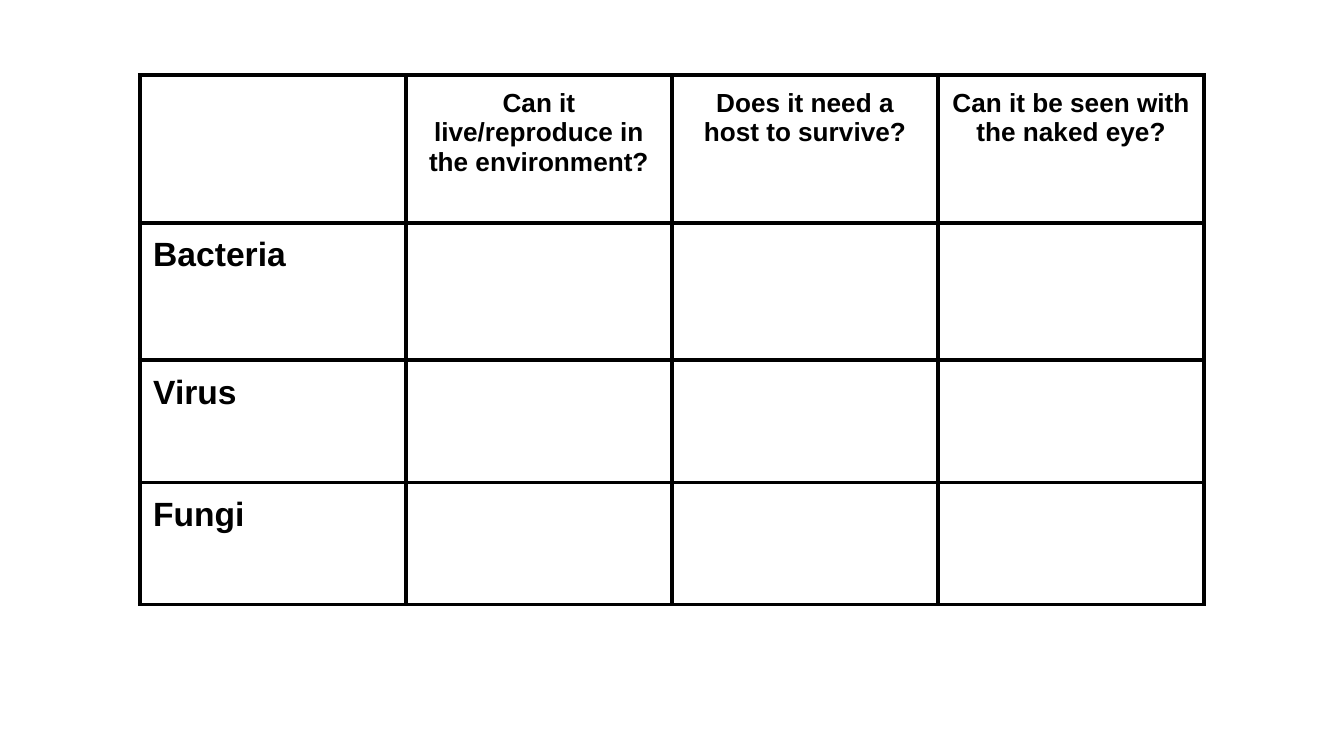
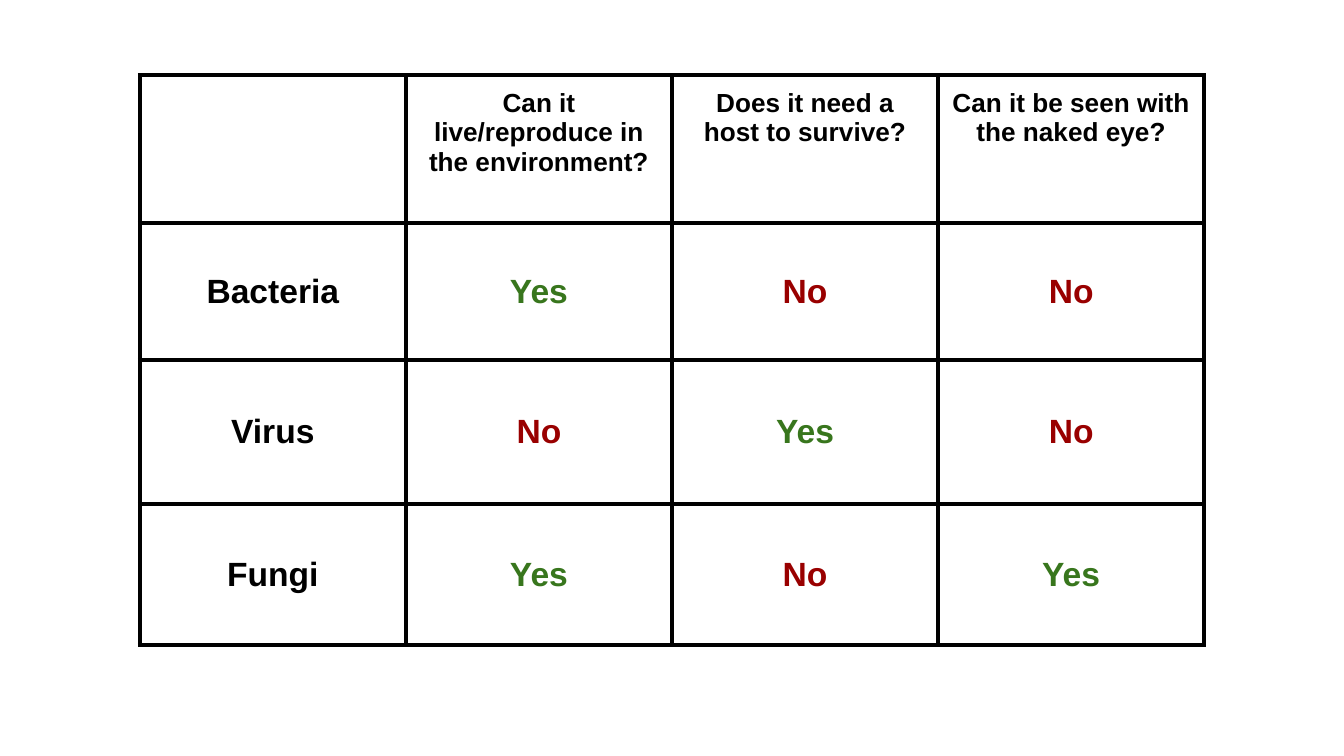
"""Build two slides comparing bacteria, viruses and fungi in a table."""
from lxml import etree
from pptx import Presentation
from pptx.dml.color import RGBColor
from pptx.enum.text import MSO_ANCHOR, PP_ALIGN
from pptx.oxml.ns import qn
from pptx.util import Inches, Pt

LEFT, CENTER = PP_ALIGN.LEFT, PP_ALIGN.CENTER
TOP, MIDDLE = MSO_ANCHOR.TOP, MSO_ANCHOR.MIDDLE

BLACK, GREEN, RED = "000000", "38761D", "990000"
TONES = {"Yes": GREEN, "No": RED}

HEADS = [
    "",
    "Can it live/reproduce in the environment?",
    "Does it need a host to survive?",
    "Can it be seen with the naked eye?",
]
GERMS = {
    "Bacteria": ["Yes", "No", "No"],
    "Virus": ["No", "Yes", "No"],
    "Fungi": ["Yes", "No", "Yes"],
}


def color(code):
    """Turn a hex string into a colour."""
    return RGBColor.from_string(code)


class Deck:
    """Hold the table style and the current slide."""

    font = "Arial"
    left, top, width = 1.04, 0.56, 1.98
    pad, rule = 0.1, 2.25

    def __init__(self):
        """Start an empty 16:9 deck."""
        self.show = Presentation()
        self.show.slide_width = Inches(10)
        self.show.slide_height = Inches(10 * 9 / 16)
        self.slide = None

    def page(self):
        """Add a blank slide."""
        self.slide = self.show.slides.add_slide(self.show.slide_layouts[6])

    def border(self, cell):
        """Draw a solid line on all four sides of a cell."""
        props = cell._tc.get_or_add_tcPr()
        for spot, side in enumerate(("a:lnL", "a:lnR", "a:lnT", "a:lnB")):
            line = etree.Element(qn(side), w=str(Pt(self.rule)))
            fill = etree.SubElement(line, qn("a:solidFill"))
            etree.SubElement(fill, qn("a:srgbClr"), val=BLACK)
            props.insert(spot, line)

    def cell(self, cell, text, size, align, anchor):
        """Fill in and format one cell."""
        cell.fill.background()
        self.border(cell)
        cell.margin_left = cell.margin_right = Inches(self.pad)
        cell.margin_top = cell.margin_bottom = Inches(self.pad)
        cell.vertical_anchor = anchor
        cell.text_frame.text = text
        para = cell.text_frame.paragraphs[0]
        para.alignment = align
        para.font.size = Pt(size)
        for run in para.runs:
            run.font.name = self.font
            run.font.size = Pt(size)
            run.font.bold = True
            run.font.color.rgb = color(TONES.get(text, BLACK))

    def table(self, rows, tall, align, anchor):
        """Add a table with a heading row above the body rows."""
        count = len(rows[0])
        frame = self.slide.shapes.add_table(
            len(rows), count, Inches(self.left), Inches(self.top),
            Inches(self.width * count), Inches(sum(tall)))
        grid = frame.table
        grid.first_row = grid.horz_banding = False
        for col in grid.columns:
            col.width = Inches(self.width)
        for r, (row, high) in enumerate(zip(rows, tall)):
            grid.rows[r].height = Inches(high)
            style = (18, align, anchor) if r else (14, CENTER, TOP)
            for c, text in enumerate(row):
                self.cell(grid.cell(r, c), text, *style)


def main():
    """Build the blank table, then the answered one."""
    deck = Deck()

    deck.page()
    blank = [[germ, "", "", ""] for germ in GERMS]
    deck.table([HEADS] + blank, [1.1, 1.02, 0.91, 0.91], LEFT, TOP)

    deck.page()
    full = [[germ] + marks for germ, marks in GERMS.items()]
    deck.table([HEADS] + full, [1.1, 1.02, 1.07, 1.05], CENTER, MIDDLE)

    deck.show.save("out.pptx")


if __name__ == "__main__":
    main()
